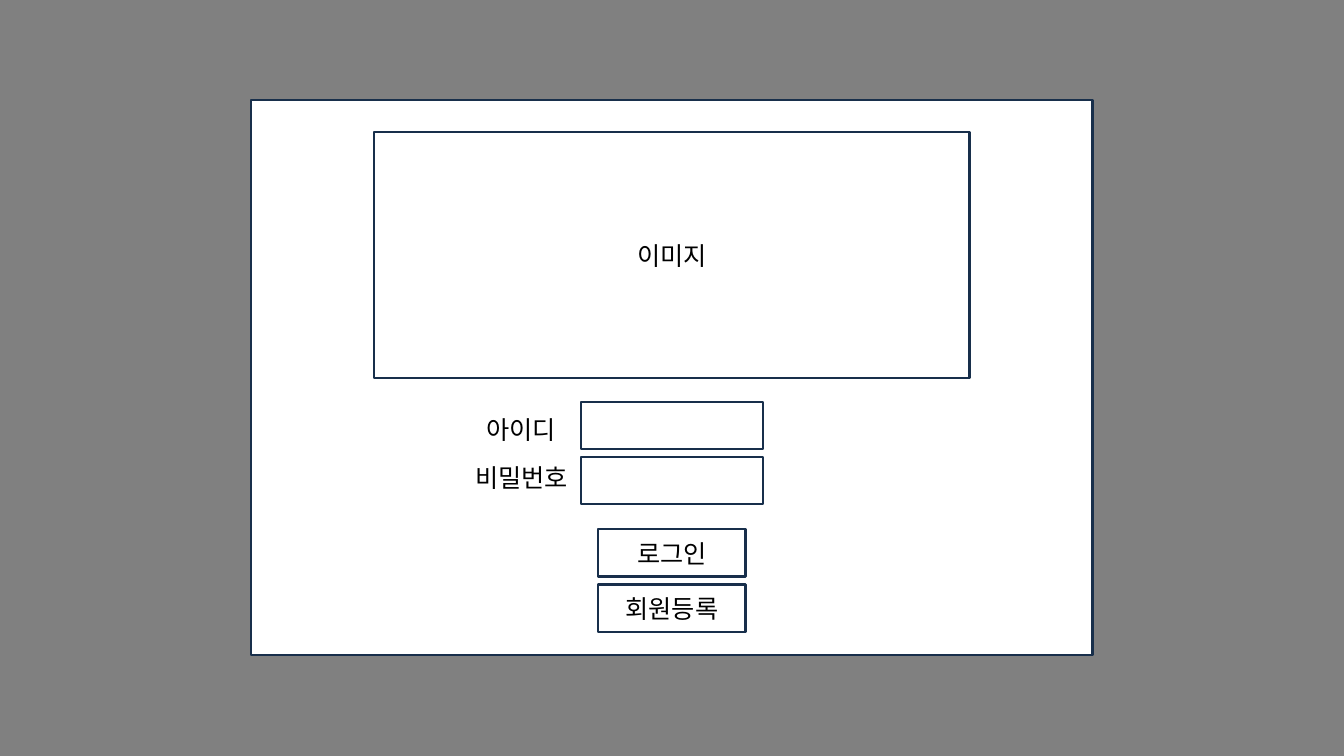
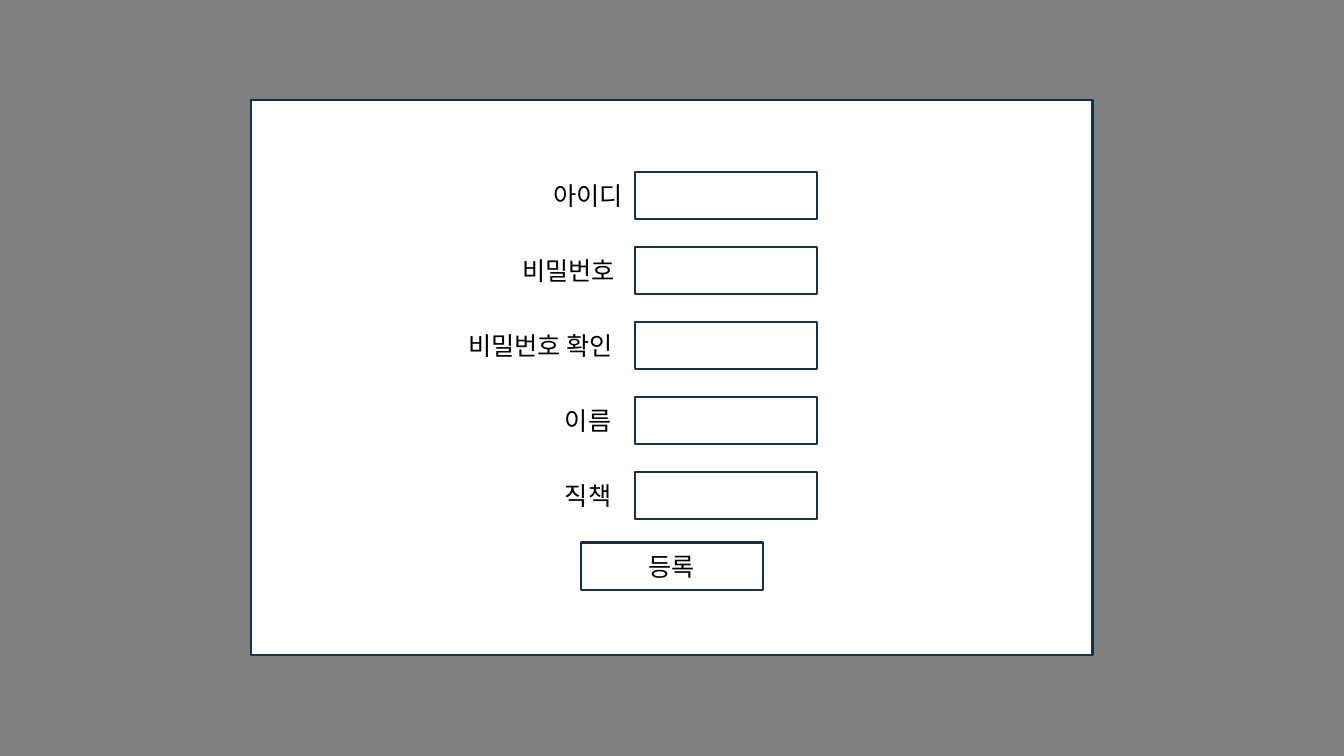
from lxml.etree import SubElement
from pptx import Presentation
from pptx.dml.color import RGBColor
from pptx.enum.shapes import MSO_SHAPE
from pptx.enum.text import MSO_ANCHOR, PP_ALIGN
from pptx.oxml.ns import qn
from pptx.util import Cm, Pt

FONT = "Noto Sans CJK KR"
GREY, WHITE, NAVY, BLACK = "808080", "FFFFFF", "182F4B", "000000"
WIDTH, HEIGHT = 33.87, 19.05
FIELD_W, FIELD_H = 4.6, 1.19
LABEL_H = 1.02


def paint(color, value):
    color.rgb = RGBColor.from_string(value)


def add_item(s, text, w, h, y, x=None, boxed=True):
    """Add a box or a bare label, centred on the slide if x is not given."""
    x = (WIDTH - w) / 2 if x is None else x
    at = Cm(x), Cm(y), Cm(w), Cm(h)
    if boxed:
        sp = s.shapes.add_shape(MSO_SHAPE.RECTANGLE, *at)
        sp.shadow.inherit = False
        sp.fill.solid()
        paint(sp.fill.fore_color, WHITE)
        paint(sp.line.color, NAVY)
        sp.line.width = Pt(1.5)
    else:
        sp = s.shapes.add_textbox(*at)
    if text:
        tf = sp.text_frame
        tf.word_wrap = True
        tf.vertical_anchor = MSO_ANCHOR.MIDDLE
        p = tf.paragraphs[0]
        p.alignment = PP_ALIGN.CENTER
        r = p.add_run()
        r.text = text
        for name, value in {"name": FONT, "size": Pt(18)}.items():
            setattr(r.font, name, value)
        paint(r.font.color, BLACK)
        SubElement(r._r.get_or_add_rPr(), qn("a:ea"), typeface=FONT)


prs = Presentation()
prs.slide_width, prs.slide_height = Cm(WIDTH), Cm(HEIGHT)
fill = prs.slide_master.background.fill
fill.solid()
paint(fill.fore_color, GREY)

slides = [prs.slides.add_slide(prs.slide_layouts[6]) for _ in range(2)]
for s in slides:
    add_item(s, "", 21.2, 14, 2.51)
login, signup = slides

# Login screen
add_item(login, "이미지", 15, 6.2, 3.33)
for text, x, y, w, field_y in [("아이디", 11.96, 10.31, 2.36, 10.13),
                               ("비밀번호", 11.66, 11.51, 2.97, 11.51)]:
    add_item(login, "", FIELD_W, FIELD_H, field_y)
    add_item(login, text, w, LABEL_H, y, x, boxed=False)
for i, text in enumerate(["로그인", "회원등록"]):
    add_item(login, text, 3.71, FIELD_H, 13.34 + i * 1.39)

# Sign-up screen: labels end where the fields begin
field_x = 16
rows = [("아이디", 2.36), ("비밀번호", 3.33), ("비밀번호 확인", 4.75),
        ("이름", 2.36), ("직책", 2.36)]
for i, (text, w) in enumerate(rows):
    y = 4.34 + i * 1.89
    add_item(signup, "", FIELD_W, FIELD_H, y, field_x)
    add_item(signup, text, w, LABEL_H, y + (FIELD_H - LABEL_H) / 2,
             field_x - w, boxed=False)
add_item(signup, "등록", FIELD_W, FIELD_H, 13.67)

prs.save("out.pptx")
